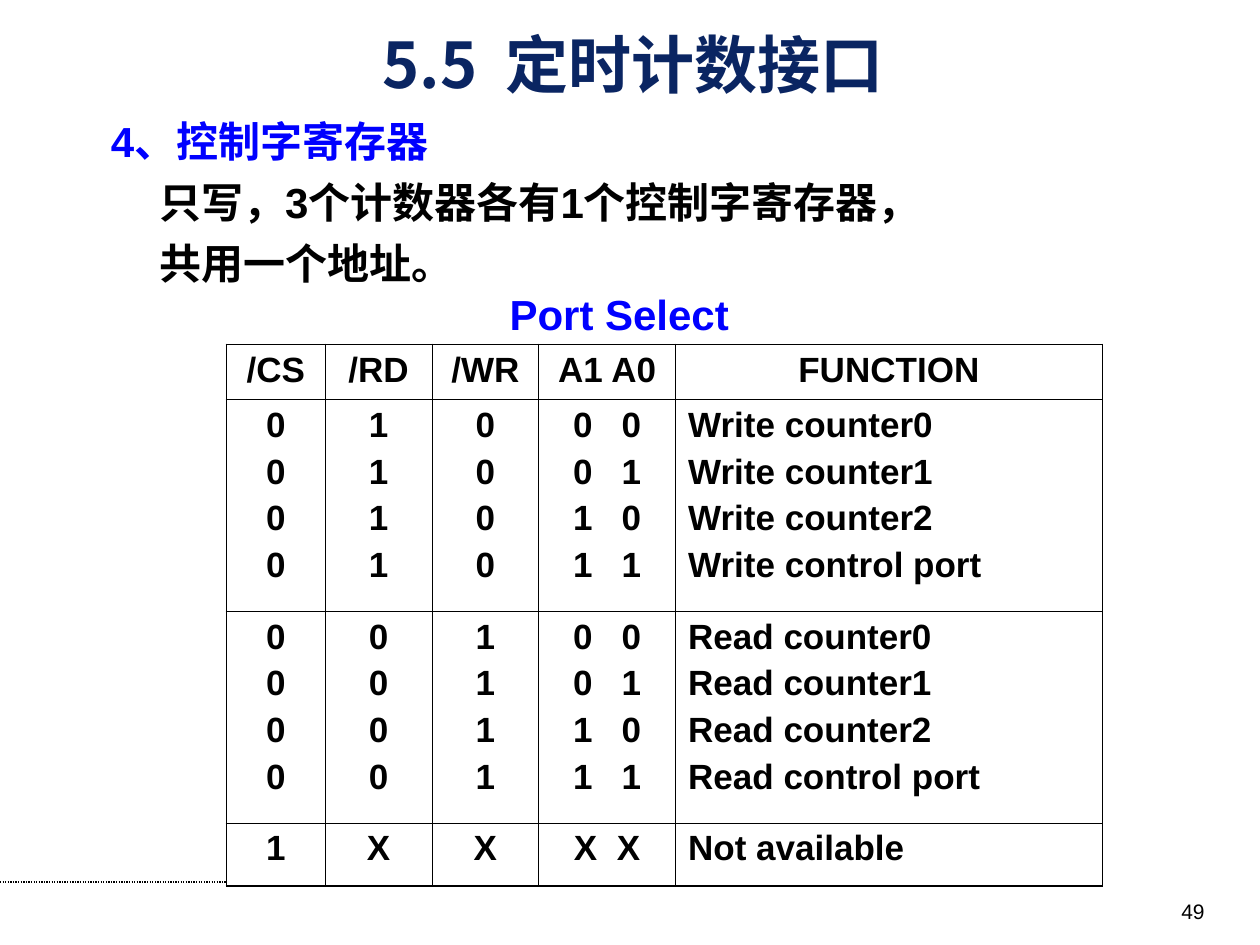
"""Build the timer/counter slide with the control register port select table."""
from lxml import etree
from pptx import Presentation
from pptx.dml.color import RGBColor
from pptx.enum.dml import MSO_LINE
from pptx.enum.shapes import MSO_CONNECTOR
from pptx.enum.text import MSO_ANCHOR, MSO_AUTO_SIZE, PP_ALIGN
from pptx.oxml.ns import qn
from pptx.util import Pt

LEFT, CENTER, RIGHT = PP_ALIGN.LEFT, PP_ALIGN.CENTER, PP_ALIGN.RIGHT
TOP, MIDDLE = MSO_ANCHOR.TOP, MSO_ANCHOR.MIDDLE
STRAIGHT, DOTTED, NO_FIT = MSO_CONNECTOR.STRAIGHT, MSO_LINE.ROUND_DOT, MSO_AUTO_SIZE.NONE

THEME = {
    "latin": "Arial", "cjk": "Noto Sans CJK SC",
    "navy": RGBColor.from_string("0A2562"), "blue": RGBColor.from_string("0000FF"),
    "black": RGBColor.from_string("000000"), "white": RGBColor.from_string("FFFFFF"),
    "title": Pt(36), "body": Pt(24), "cell": Pt(20), "number": Pt(12),
    "outer": Pt(1.08), "inner": Pt(0.45),
}


def write(paragraph, text, size, color, align, bold=True, face="latin"):
    run = paragraph.add_run()
    run.text = text
    paragraph.alignment = align
    font_format = {"name": THEME[face], "size": THEME[size], "bold": bold}
    for key, value in font_format.items():
        setattr(run.font, key, value)
    run.font.color.rgb = THEME[color]
    etree.SubElement(run._r.get_or_add_rPr(), qn("a:ea"), typeface=THEME["cjk"])


def place(shape, left, top, width, height, anchor):
    box = {"left": left, "top": top, "width": width, "height": height}
    for key, value in box.items():
        setattr(shape, key, Pt(value))
    frame_format = {"word_wrap": True, "auto_size": NO_FIT, "vertical_anchor": anchor}
    for key, value in frame_format.items():
        setattr(shape.text_frame, key, value)


deck = Presentation()
deck.slide_width, deck.slide_height = Pt(720), Pt(540)
slide = deck.slides.add_slide(deck.slide_layouts[1])

heading = slide.shapes.title
place(heading, 36, 18, 651.6, 36, MIDDLE)
write(heading.text_frame.paragraphs[0], "5.5  定时计数接口", "title", "navy", CENTER, face="cjk")

register_notes = slide.placeholders[1]
place(register_notes, 56.16, 61.92, 595.44, 134.64, TOP)
register_notes.fill.solid()
register_notes.fill.fore_color.rgb = THEME["white"]
NOTES = [
    ("4、控制字寄存器", "blue", LEFT, 0, 0),
    ("只写，3个计数器各有1个控制字寄存器，", "black", LEFT, 27.6, 6),
    ("共用一个地址。", "black", LEFT, 27.6, 6),
    ("Port Select", "blue", CENTER, 0, 0),
]
for index, (text, color, align, indent, gap) in enumerate(NOTES):
    frame = register_notes.text_frame
    note = frame.add_paragraph() if index else frame.paragraphs[0]
    properties = note._p.get_or_add_pPr()
    properties.set("marL", str(Pt(indent)))
    properties.set("indent", "0")
    etree.SubElement(properties, qn("a:buNone"))
    note.space_before = Pt(gap)
    note.line_spacing = Pt(29)
    write(note, text, "body", color, align)

footer_rule = slide.shapes.add_connector(STRAIGHT, Pt(0), Pt(504), Pt(545.76), Pt(504))
footer_rule.line.color.rgb = THEME["black"]
footer_rule.line.width = Pt(0.75)
footer_rule.line.dash_style = DOTTED
etree.SubElement(footer_rule._element.spPr, qn("a:effectLst"))

ADDRESSES = ["0   0", "0   1", "1   0", "1   1"]
TARGETS = ["counter0", "counter1", "counter2", "control port"]
ROWS = [
    [["/CS"], ["/RD"], ["/WR"], ["A1 A0"], ["FUNCTION"]],
    [["0"] * 4, ["1"] * 4, ["0"] * 4, ADDRESSES, [f"Write {target}" for target in TARGETS]],
    [["0"] * 4, ["0"] * 4, ["1"] * 4, ADDRESSES, [f"Read {target}" for target in TARGETS]],
    [["1"], ["X"], ["X"], ["X  X"], ["Not available"]],
]
WIDTHS = [56.5, 61, 61, 78.2, 243.9]
HEIGHTS = [31.5, 121, 121, 36]
port_frame = slide.shapes.add_table(
    len(ROWS), len(WIDTHS), Pt(129.4), Pt(196.8), Pt(sum(WIDTHS)), Pt(sum(HEIGHTS)))
ports = port_frame.table
ports.first_row = ports.horz_banding = False
for column, width in zip(ports.columns, WIDTHS):
    column.width = Pt(width)

for r, (functions, height) in enumerate(zip(ROWS, HEIGHTS)):
    ports.rows[r].height = Pt(height)
    for c, lines in enumerate(functions):
        cell = ports.cell(r, c)
        align = LEFT if r and c == len(WIDTHS) - 1 else CENTER
        for index, text in enumerate(lines):
            frame = cell.text_frame
            line = frame.add_paragraph() if index else frame.paragraphs[0]
            line.space_before = Pt(4.4 if index else 0)
            write(line, text, "cell", "black", align)
        on_edge = {"lnL": c == 0, "lnR": c == len(WIDTHS) - 1,
                   "lnT": r == 0, "lnB": r == len(ROWS) - 1}
        for side, outer in on_edge.items():
            width = THEME["outer" if outer else "inner"]
            border = etree.SubElement(cell._tc.get_or_add_tcPr(), qn(f"a:{side}"), w=str(width))
            paint = etree.SubElement(border, qn("a:solidFill"))
            etree.SubElement(paint, qn("a:srgbClr"), val=str(THEME["black"]))
        cell.fill.solid()
        cell.fill.fore_color.rgb = THEME["white"]

page_number = slide.shapes.add_textbox(0, 0, 0, 0)
place(page_number, 527.76, 509.76, 167.76, 19.44, TOP)
write(page_number.text_frame.paragraphs[0], "49", "number", "black", RIGHT, bold=False)

deck.save("out.pptx")
